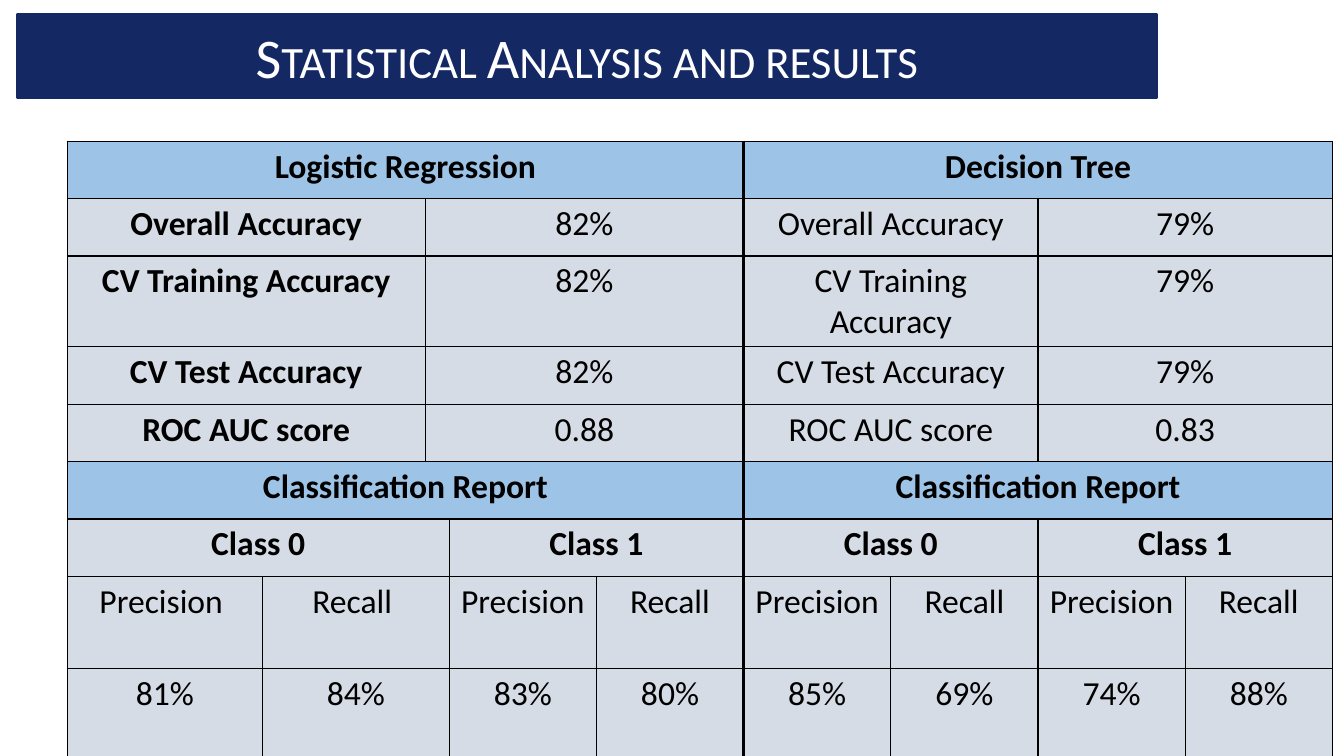
"""Build the slide that compares logistic regression with a decision tree."""
from pptx import Presentation
from pptx.dml.color import RGBColor
from pptx.enum.text import MSO_ANCHOR, MSO_AUTO_SIZE, PP_ALIGN
from pptx.oxml.ns import qn
from pptx.util import Inches, Pt
from lxml.etree import SubElement

W, H = 13.33, 7.5
NAVY, BLUE, GREY, BLACK, WHITE = "142864", "9DC3E6", "D6DCE5", "000000", "FFFFFF"
FONT = "Calibri"
COLS = [1.94, 1.61, 0.15] + [1.46] * 6
MIDDLE = 5

HEADER = ((5, 4), BLUE, (True, True))
METRIC = ((2, 3, 2, 2), GREY, (True, False, False, False))
CLASSES = ((3, 2, 2, 2), GREY, (True,) * 4)
DETAIL = ((1, 2) + (1,) * 6, GREY, (False,) * 8)

ROWS = [
    (0.57, HEADER, ["Logistic Regression", "Decision Tree"]),
    (0.57, METRIC, ["Overall Accuracy", "82%", "Overall Accuracy", "79%"]),
    (0.86, METRIC, ["CV Training Accuracy", "82%", "CV Training Accuracy", "79%"]),
    (0.57, METRIC, ["CV Test Accuracy", "82%", "CV Test Accuracy", "79%"]),
    (0.57, METRIC, ["ROC AUC score", "0.88", "ROC AUC score", "0.83"]),
    (0.57, HEADER, ["Classification Report"] * 2),
    (0.57, CLASSES, ["Class 0", "Class 1"] * 2),
    (0.91, DETAIL, ["Precision ", "Recall "] + ["Precision", "Recall"] * 3),
    (0.91, DETAIL, ["81%", "84%", "83%", "80%", "85%", "69%", "74%", "88%"]),
]


def rgb(color):
    """Turn a hex string into a colour."""
    return RGBColor.from_string(color)


def paint(target, color):
    """Give a shape, line or cell a solid fill."""
    target.fill.solid()
    target.fill.fore_color.rgb = rgb(color)


def write(tf, text, size, color, bold=False):
    """Write one centred paragraph and return it."""
    p = tf.paragraphs[0]
    p.text = text
    p.alignment = PP_ALIGN.CENTER
    p.font.name = FONT
    p.font.size = Pt(size)
    p.font.bold = bold
    p.font.color.rgb = rgb(color)
    return p


def add_title(s, text):
    """Turn the title placeholder into a navy banner in small capitals."""
    sp = s.shapes.title
    sp.left, sp.top = Inches(0.17), Inches(0.17)
    sp.width, sp.height = Inches(11.3), Inches(0.77)
    paint(sp, NAVY)
    paint(sp.line, NAVY)
    sp.line.width = Pt(2)
    tf = sp.text_frame
    tf.word_wrap = True
    tf.auto_size = MSO_AUTO_SIZE.SHAPE_TO_FIT_TEXT
    tf.vertical_anchor = MSO_ANCHOR.MIDDLE
    p = write(tf, text, 40, WHITE)
    p._p.pPr.find(qn("a:defRPr")).set("cap", "small")


def add_borders(cell, start, end):
    """Draw the cell's edges, thick where the two models meet."""
    widths = {"L": 3 if start == MIDDLE else 1, "R": 3 if end == MIDDLE else 1,
              "T": 1, "B": 1}
    tcPr = cell._tc.get_or_add_tcPr()
    for side, width in widths.items():
        ln = SubElement(tcPr, qn(f"a:ln{side}"), w=str(Pt(width)))
        SubElement(SubElement(ln, qn("a:solidFill")), qn("a:srgbClr"), val=BLACK)


def fill_row(table, row, kind, texts):
    """Merge, colour and write the cells of one row."""
    start = 0
    for span, bold, text in zip(kind[0], kind[2], texts):
        end = start + span
        for col in range(start, end):
            cell = table.cell(row, col)
            add_borders(cell, start, end)
            paint(cell, kind[1])
        first = table.cell(row, start)
        if span > 1:
            first.merge(table.cell(row, end - 1))
        write(first.text_frame, text, 24, BLACK, bold)
        start = end


def add_results(s):
    """Add the table of both models' scores."""
    height = sum(row[0] for row in ROWS)
    frame = s.shapes.add_table(len(ROWS), len(COLS), Inches(W * 0.05), Inches(H - height),
                               Inches(sum(COLS)), Inches(height))
    table = frame.table
    table.first_row = table.horz_banding = False
    for column, width in zip(table.columns, COLS):
        column.width = Inches(width)
    for i, (row_height, kind, texts) in enumerate(ROWS):
        table.rows[i].height = Inches(row_height)
        fill_row(table, i, kind, texts)


def main():
    """Build and save the slide."""
    prs = Presentation()
    prs.slide_width, prs.slide_height = Inches(W), Inches(H)
    s = prs.slides.add_slide(prs.slide_layouts[5])
    add_title(s, "Statistical Analysis and results")
    add_results(s)
    prs.save("out.pptx")


if __name__ == "__main__":
    main()
